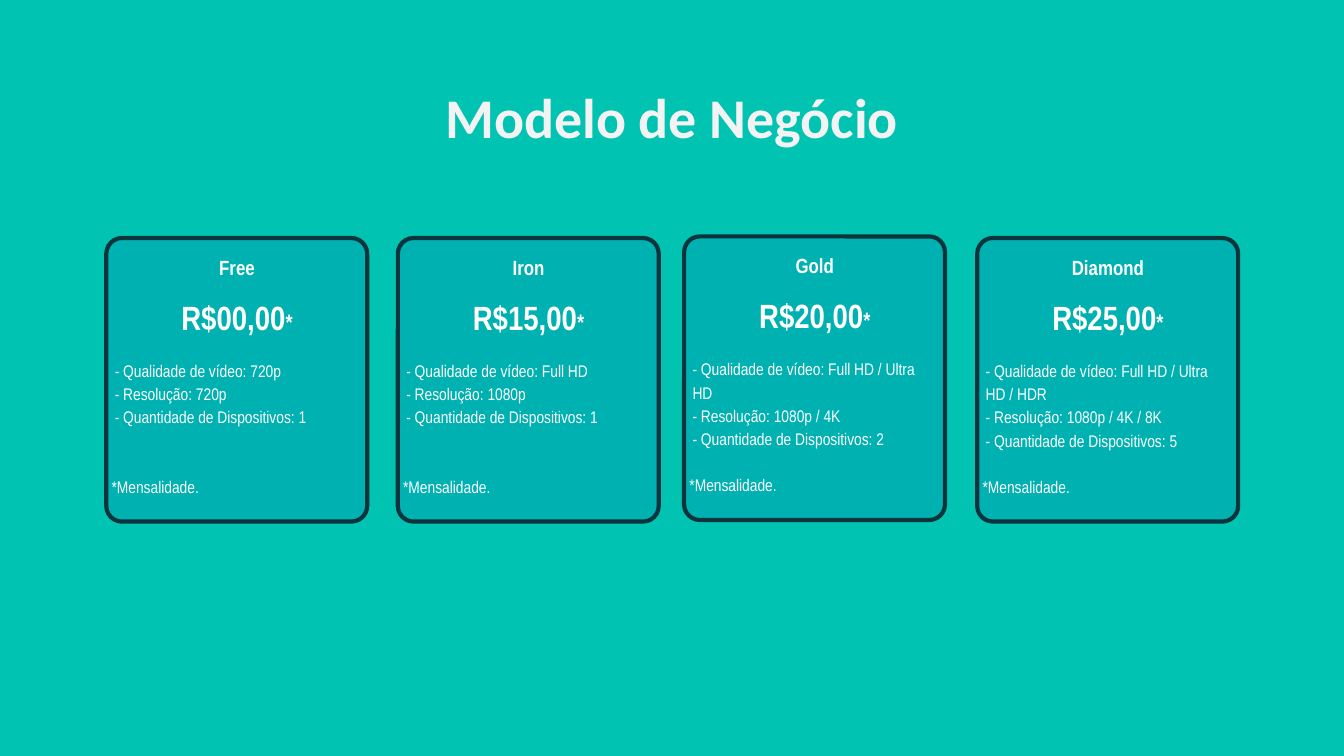
import pptx
import pptx.dml.color
import pptx.enum.shapes
import pptx.enum.text
import pptx.oxml
import pptx.oxml.ns
import pptx.util
from pptx.util import Cm, Pt


def color(hex_string):
    return pptx.dml.color.RGBColor.from_string(hex_string)


def add_text_frame(left, top, width, height):
    text_box = slide.shapes.add_textbox(Cm(left), Cm(top), Cm(width), Cm(height))
    frame = text_box.text_frame
    frame.word_wrap = True
    frame.margin_left = frame.margin_right = Cm(0.25)
    frame.margin_top = frame.margin_bottom = Cm(0.25)
    return frame


CENTER = pptx.enum.text.PP_ALIGN.CENTER
CARD_WIDTH, CARD_HEIGHT = 4.93, 5.36
HEADER_HEIGHT = 2.01
LINE_HEIGHT = 12.4

# left, top, name, price, features, empty lines above the footnote
plans = [
    (2.01, 4.5, "Free", "R$00,00",
     ["- Qualidade de vídeo: 720p", "- Resolução: 720p",
      "- Quantidade de Dispositivos: 1"], 2),
    (7.52, 4.5, "Iron", "R$15,00",
     ["- Qualidade de vídeo: Full HD", "- Resolução: 1080p",
      "- Quantidade de Dispositivos: 1"], 2),
    (12.93, 4.47, "Gold", "R$20,00",
     ["- Qualidade de vídeo: Full HD / Ultra HD", "- Resolução: 1080p / 4K",
      "- Quantidade de Dispositivos: 2"], 1),
    (18.47, 4.5, "Diamond", "R$25,00",
     ["- Qualidade de vídeo: Full HD / Ultra HD / HDR", "- Resolução: 1080p / 4K / 8K",
      "- Quantidade de Dispositivos: 5"], 1),
]

presentation = pptx.Presentation()
presentation.slide_width = Cm(25.4)
presentation.slide_height = Cm(14.29)
slide = presentation.slides.add_slide(presentation.slide_layouts[6])
slide.background.fill.solid()
slide.background.fill.fore_color.rgb = color("00C3B1")

title = add_text_frame(2, 1.32, 21.4, 1.6).paragraphs[0]
title.text = "Modelo de Negócio"
title.alignment = CENTER
title.font.name = "Calibri"
title.font.size = Pt(30)
title.font.bold = True
title.font.color.rgb = color("F3F3F3")

for left, top, name, price, features, empty_lines in plans:
    card = slide.shapes.add_shape(
        pptx.enum.shapes.MSO_SHAPE.ROUNDED_RECTANGLE,
        Cm(left), Cm(top), Cm(CARD_WIDTH), Cm(CARD_HEIGHT))
    card.shadow.inherit = False
    card.adjustments[0] = 0.06
    card.fill.solid()
    card.fill.fore_color.rgb = color("0092B4")
    fill_color = card.fill._xPr.find(".//" + pptx.oxml.ns.qn("a:srgbClr"))
    fill_color.append(pptx.oxml.parse_xml(
        f'<a:alpha {pptx.oxml.ns.nsdecls("a")} val="36000"/>'))
    card.line.color.rgb = color("0C343D")
    card.line.width = Pt(2.25)

    header = add_text_frame(left + 0.12, top, 4.7, HEADER_HEIGHT)
    header.text = f"{name}\n{price}"
    for paragraph, size in zip(header.paragraphs, (11, 18)):
        paragraph.alignment = CENTER
        paragraph.line_spacing = 1.15
        paragraph.space_after = Pt(6)
        paragraph.font.name = "Arial Narrow"
        paragraph.font.size = Pt(size)
        paragraph.font.bold = True
        paragraph.font.color.rgb = color("FFFFFF")
    asterisk = header.paragraphs[1].add_run()
    asterisk.text = "*"
    asterisk.font.size = Pt(12)

    details = add_text_frame(left - 0.57, top + HEADER_HEIGHT, 5.51, 3.05)
    details.text = "\n".join(features + ["*Mensalidade."])
    for paragraph in details.paragraphs:
        paragraph.line_spacing = 1.15
        paragraph.font.name = "Arial Narrow"
        paragraph.font.size = Pt(9)
        paragraph.font.color.rgb = color("FFFFFF")
        paragraph._p.get_or_add_pPr().set("marL", str(Cm(0.48)))
    footnote = details.paragraphs[-1]
    footnote._p.get_or_add_pPr().set("marL", str(Cm(0.42)))
    footnote.space_before = Pt(empty_lines * LINE_HEIGHT)

presentation.save("out.pptx")
